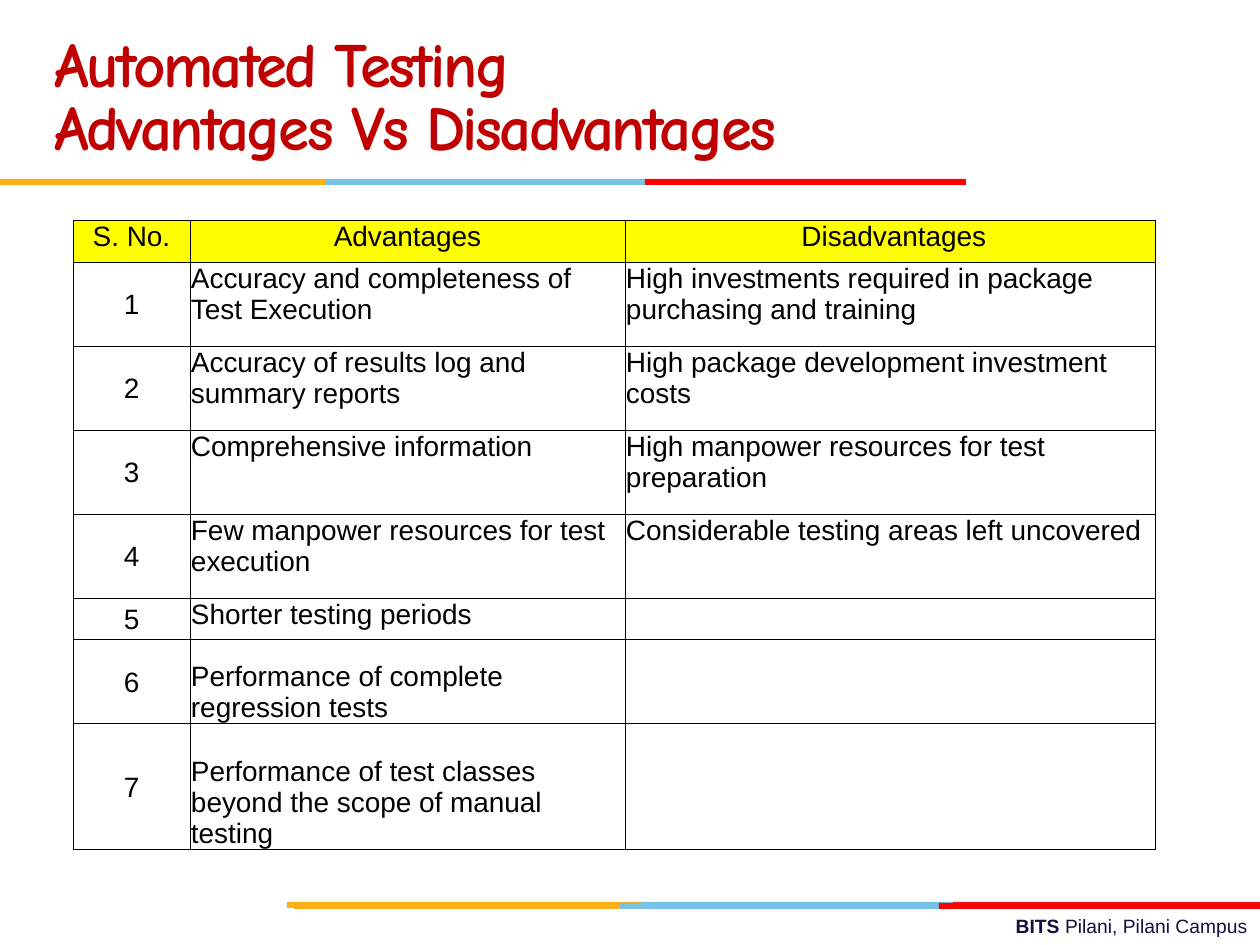
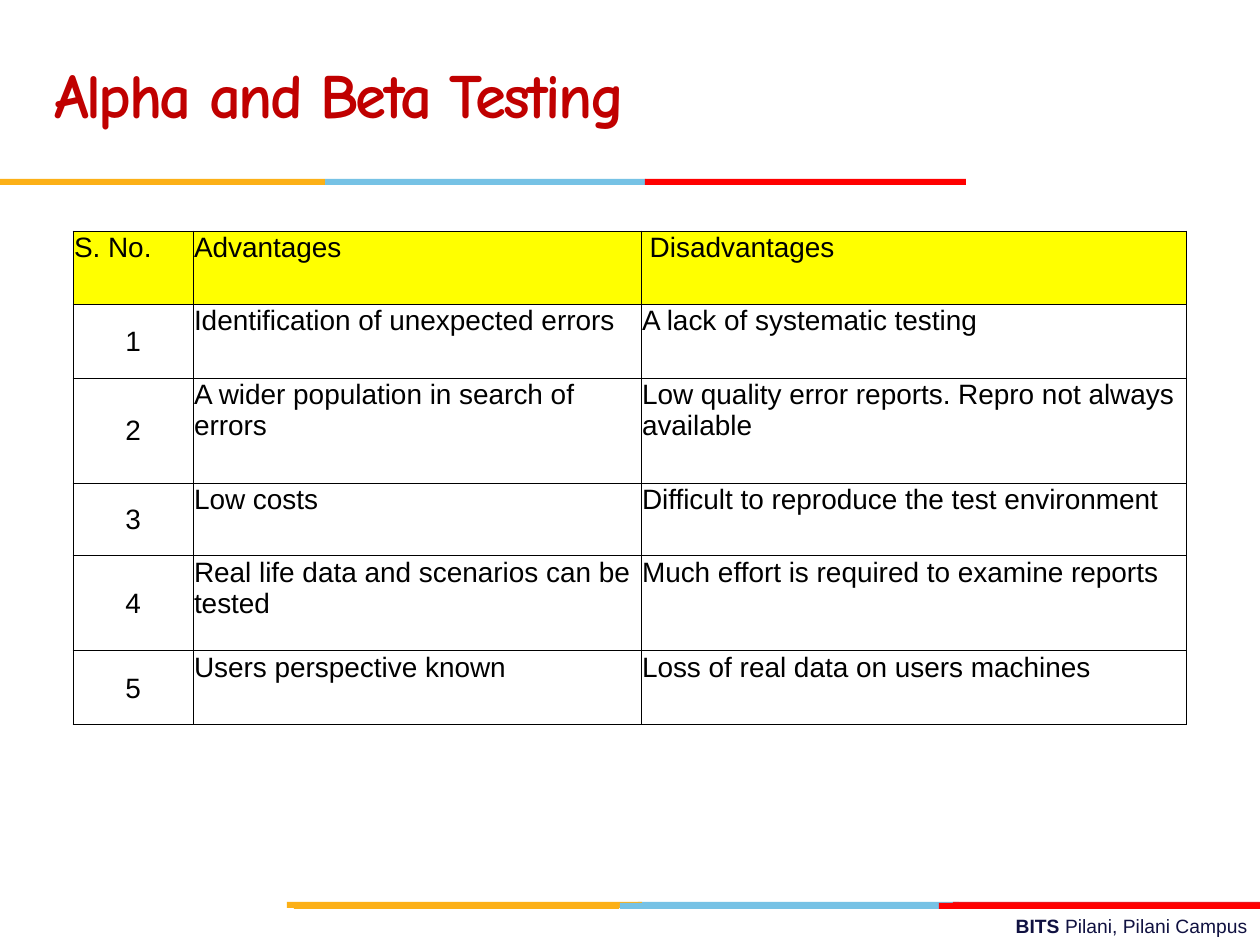
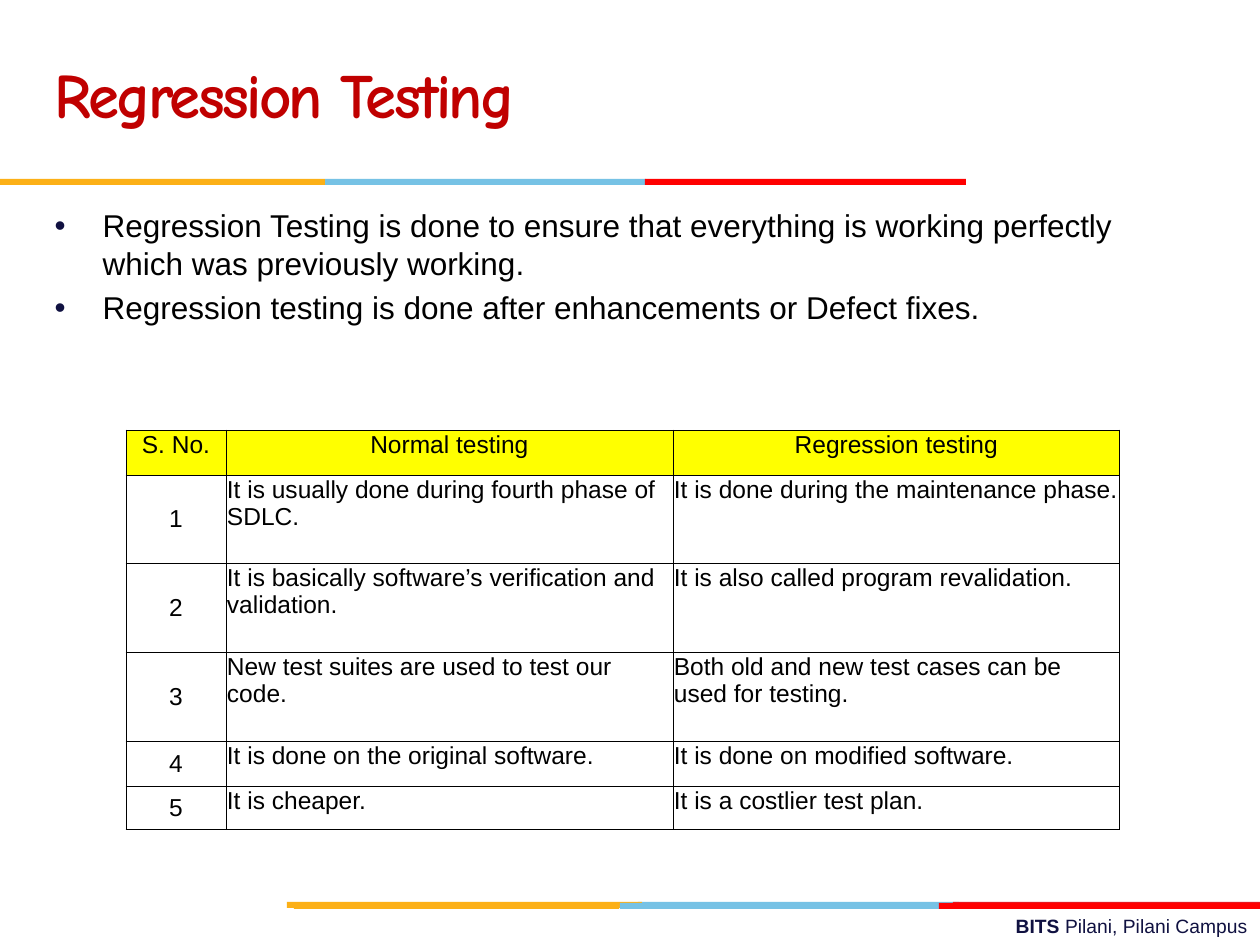
from dataclasses import dataclass

from lxml.etree import SubElement
from pptx import Presentation
from pptx.dml.color import RGBColor
from pptx.enum.shapes import MSO_SHAPE
from pptx.enum.text import MSO_ANCHOR, MSO_AUTO_SIZE, PP_ALIGN
from pptx.oxml.ns import qn
from pptx.slide import Slide
from pptx.util import Emu, Pt

RECT = MSO_SHAPE.RECTANGLE
TOP, MIDDLE, BOTTOM = MSO_ANCHOR.TOP, MSO_ANCHOR.MIDDLE, MSO_ANCHOR.BOTTOM
LEFT, CENTER, RIGHT = PP_ALIGN.LEFT, PP_ALIGN.CENTER, PP_ALIGN.RIGHT
FIXED = MSO_AUTO_SIZE.NONE
GROW = MSO_AUTO_SIZE.SHAPE_TO_FIT_TEXT

SCALE = 914400 / 126
WIDTH, HEIGHT = 1260, 945
SANS, HAND = "Arial", "Comic Neue"
COLORS = {
    "title": "C00000",
    "text": "000000",
    "navy": "101141",
    "head": "FFFF00",
    "gold": "FCB017",
    "sky": "76C2E5",
    "red": "FF0000",
    "brick": "E31C24",
}


@dataclass(frozen=True)
class Bar:
    left: int
    top: int
    width: int
    color: str


@dataclass(frozen=True)
class Grid:
    left: int
    top: int
    cols: list[int]
    rows: list[int]
    head: list[str]
    pairs: list[tuple[str, str]]
    size: int = 16
    align: PP_ALIGN = CENTER
    low: tuple[int, ...] = ()  # rows whose text sits at the bottom


@dataclass(frozen=True)
class Page:
    title: list[str]
    grid: Grid
    points: tuple[str, ...] = ()


BAR_H = 6
BARS = [
    Bar(638, 902, 321, "sky"),
    Bar(953, 902, 307, "brick"),
    Bar(287, 902, 355, "gold"),
    Bar(620, 903, 321, "sky"),
    Bar(294, 903, 325, "gold"),
    Bar(939, 903, 321, "red"),
    Bar(325, 179, 321, "sky"),
    Bar(0, 179, 325, "gold"),
    Bar(645, 179, 321, "red"),
]

PAGES = [
    Page(
        ["Automated Testing", "Advantages Vs Disadvantages"],
        Grid(
            73, 220, [117, 435, 530], [42, 84, 84, 84, 84, 42, 84, 126],
            ["S. No.", "Advantages", " Disadvantages"],
            [
                ("Accuracy and completeness of Test Execution",
                 "High investments required in package purchasing and training"),
                ("Accuracy of results log and summary reports",
                 "High package development investment costs"),
                ("Comprehensive information",
                 "High manpower resources for test preparation"),
                ("Few manpower resources for test execution",
                 "Considerable testing areas left uncovered"),
                ("Shorter testing periods", ""),
                ("Performance of complete regression tests", ""),
                ("Performance of test classes beyond the scope of manual testing", ""),
            ],
            low=(6, 7),
        ),
    ),
    Page(
        ["Alpha and Beta Testing"],
        Grid(
            73, 231, [120, 448, 545], [73, 74, 105, 73, 95, 74],
            ["S. No.", "Advantages", " Disadvantages"],
            [
                ("Identification of unexpected errors",
                 "A lack of systematic testing"),
                ("A wider population in search of errors",
                 "Low quality error reports. Repro not always available"),
                ("Low costs", "Difficult to reproduce the test environment"),
                ("Real life data and scenarios can be tested",
                 "Much effort is required to examine reports"),
                ("Users perspective known", "Loss of real data on users machines"),
            ],
            align=LEFT,
        ),
    ),
    Page(
        ["Regression Testing"],
        Grid(
            126, 430, [100, 447, 447], [45, 88, 89, 89, 45, 44],
            ["S. No.", "Normal testing", "Regression testing"],
            [
                ("It is usually done during fourth phase of SDLC.",
                 "It is done during the maintenance phase."),
                ("It is basically software’s verification and validation.",
                 "It is also called program revalidation."),
                ("New test suites are used to test our code.",
                 "Both old and new test cases can be used for testing."),
                ("It is done on the original software.",
                 "It is done on modified software."),
                ("It is cheaper.", "It is a costlier test plan."),
            ],
            size=14,
        ),
        (
            "Regression Testing is done to ensure that everything is working "
            "perfectly which was previously working.",
            "Regression testing is done after enhancements or Defect fixes.",
        ),
    ),
]


def px(count: int) -> Emu:
    return Emu(round(count * SCALE))


def place(shape, *box: int) -> None:
    shape.left, shape.top, shape.width, shape.height = map(px, box)


def style(para, size: int, color: str, face: str = SANS) -> None:
    font = para.font
    font.name, font.size = face, Pt(size)
    font.color.rgb = RGBColor.from_string(COLORS[color])


def draw_frame(slide: Slide) -> None:
    # Colour bands
    for bar in BARS:
        shape = slide.shapes.add_shape(
            RECT, px(bar.left), px(bar.top), px(bar.width), px(BAR_H))
        shape.shadow.inherit = False
        shape.fill.solid()
        shape.fill.fore_color.rgb = RGBColor.from_string(COLORS[bar.color])
        shape.line.fill.background()

    # Campus footer
    frame = slide.shapes.add_textbox(px(451), px(908), px(809), px(37)).text_frame
    frame.word_wrap = True
    frame.auto_size = GROW
    para = frame.paragraphs[0]
    para.alignment = RIGHT
    style(para, 11, "navy")
    for text, bold in (("BITS ", True), ("Pilani, Pilani Campus", False)):
        run = para.add_run()
        run.text, run.font.bold = text, bold


def draw_title(slide: Slide, lines: list[str]) -> None:
    shape = slide.shapes.title
    place(shape, 42, 21, 872, 158)
    frame = shape.text_frame
    frame.text = "\n".join(lines)
    frame.auto_size = FIXED
    frame.vertical_anchor = MIDDLE
    for para in frame.paragraphs:
        para.alignment = LEFT
        para.line_spacing = Pt(36)
        style(para, 36, "title", HAND)
        para.font.bold = True
        para._p.pPr.find(qn("a:defRPr")).set("spc", "-150")


def draw_points(slide: Slide, points: tuple[str, ...]) -> None:
    shape = slide.placeholders[1]
    place(shape, 42, 200, 1134, 168)
    frame = shape.text_frame
    frame.text = "\n".join(points)
    frame.auto_size = FIXED
    for i, para in enumerate(frame.paragraphs):
        props = para._p.get_or_add_pPr()
        props.set("marL", str(px(48)))
        props.set("indent", str(-px(48)))
        tint = SubElement(props, qn("a:buClr"))
        SubElement(tint, qn("a:srgbClr"), val=COLORS["navy"])
        SubElement(props, qn("a:buFont"), typeface=SANS)
        SubElement(props, qn("a:buChar"), char="•")
        para.space_before = Pt(3.6 if i else 0)
        style(para, 18, "text")


def draw_edges(cell) -> None:
    props = cell._tc.get_or_add_tcPr()
    for side in "LRTB":
        line = SubElement(props, qn(f"a:ln{side}"), w=str(Pt(0.5)))
        fill = SubElement(line, qn("a:solidFill"))
        SubElement(fill, qn("a:srgbClr"), val=COLORS["text"])


def draw_grid(slide: Slide, grid: Grid) -> None:
    table = slide.shapes.add_table(
        len(grid.rows), len(grid.cols), px(grid.left), px(grid.top),
        px(sum(grid.cols)), px(sum(grid.rows))).table
    table.first_row = table.horz_banding = False
    for col, width in zip(table.columns, grid.cols):
        col.width = px(width)
    for row, height in zip(table.rows, grid.rows):
        row.height = px(height)

    body = [(str(n), *pair) for n, pair in enumerate(grid.pairs, 1)]
    for r, texts in enumerate([grid.head, *body]):
        for c, text in enumerate(texts):
            cell = table.cell(r, c)
            cell.margin_left = cell.margin_right = cell.margin_top = px(1)
            cell.margin_bottom = 0
            draw_edges(cell)
            para = cell.text_frame.paragraphs[0]
            if text:
                para.text = text
            style(para, grid.size, "text")
            if r == 0:
                cell.fill.solid()
                cell.fill.fore_color.rgb = RGBColor.from_string(COLORS["head"])
                para.alignment, cell.vertical_anchor = grid.align, TOP
                continue
            cell.fill.background()
            if c == 0:
                para.alignment, cell.vertical_anchor = CENTER, MIDDLE
            else:
                para.alignment = LEFT
                cell.vertical_anchor = BOTTOM if r in grid.low else TOP


def main() -> None:
    deck = Presentation()
    deck.slide_width, deck.slide_height = px(WIDTH), px(HEIGHT)
    listed, plain = deck.slide_layouts[1], deck.slide_layouts[5]
    for page in PAGES:
        slide = deck.slides.add_slide(listed if page.points else plain)
        draw_frame(slide)
        draw_title(slide, page.title)
        if page.points:
            draw_points(slide, page.points)
        draw_grid(slide, page.grid)
    deck.save("out.pptx")


if __name__ == "__main__":
    main()
